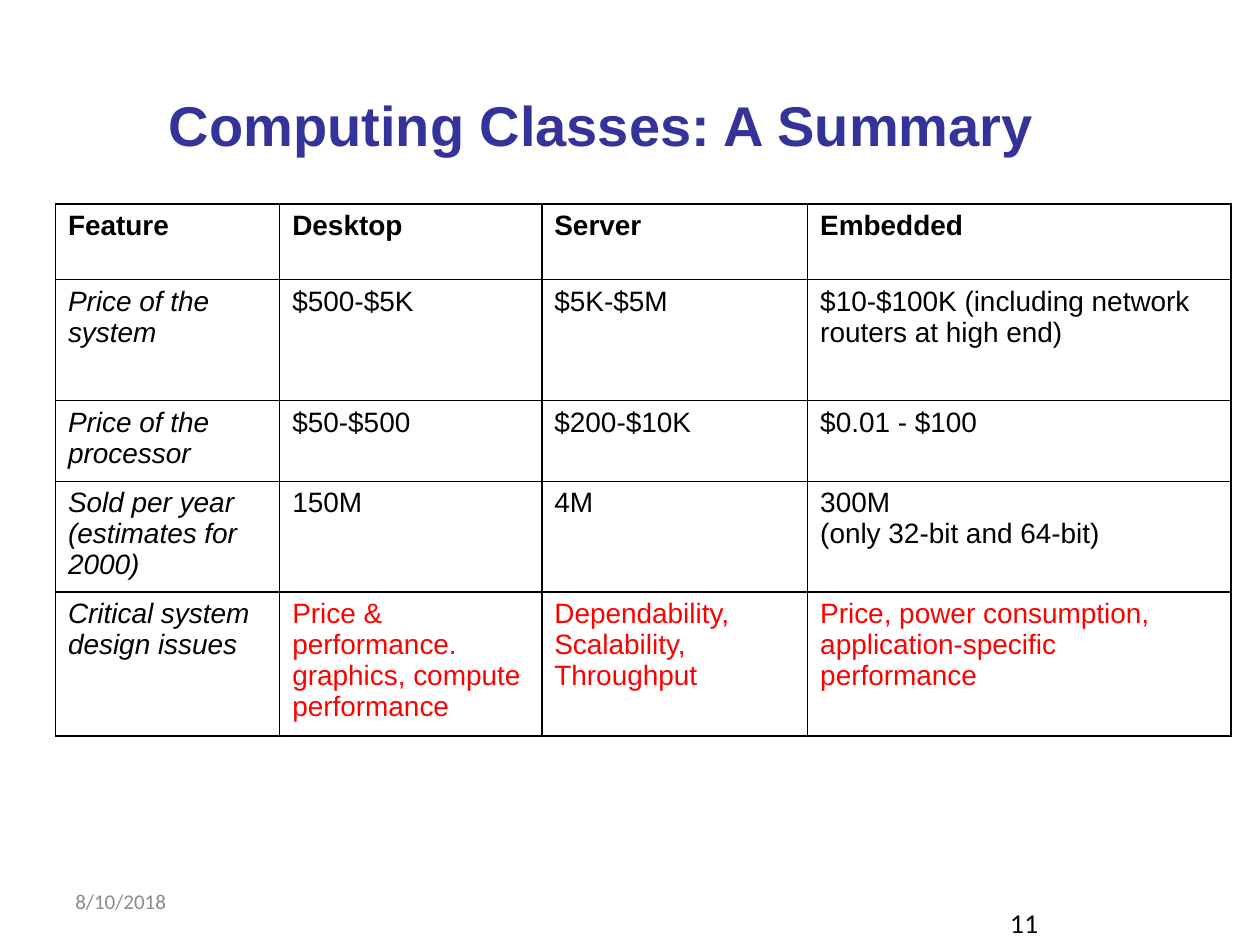
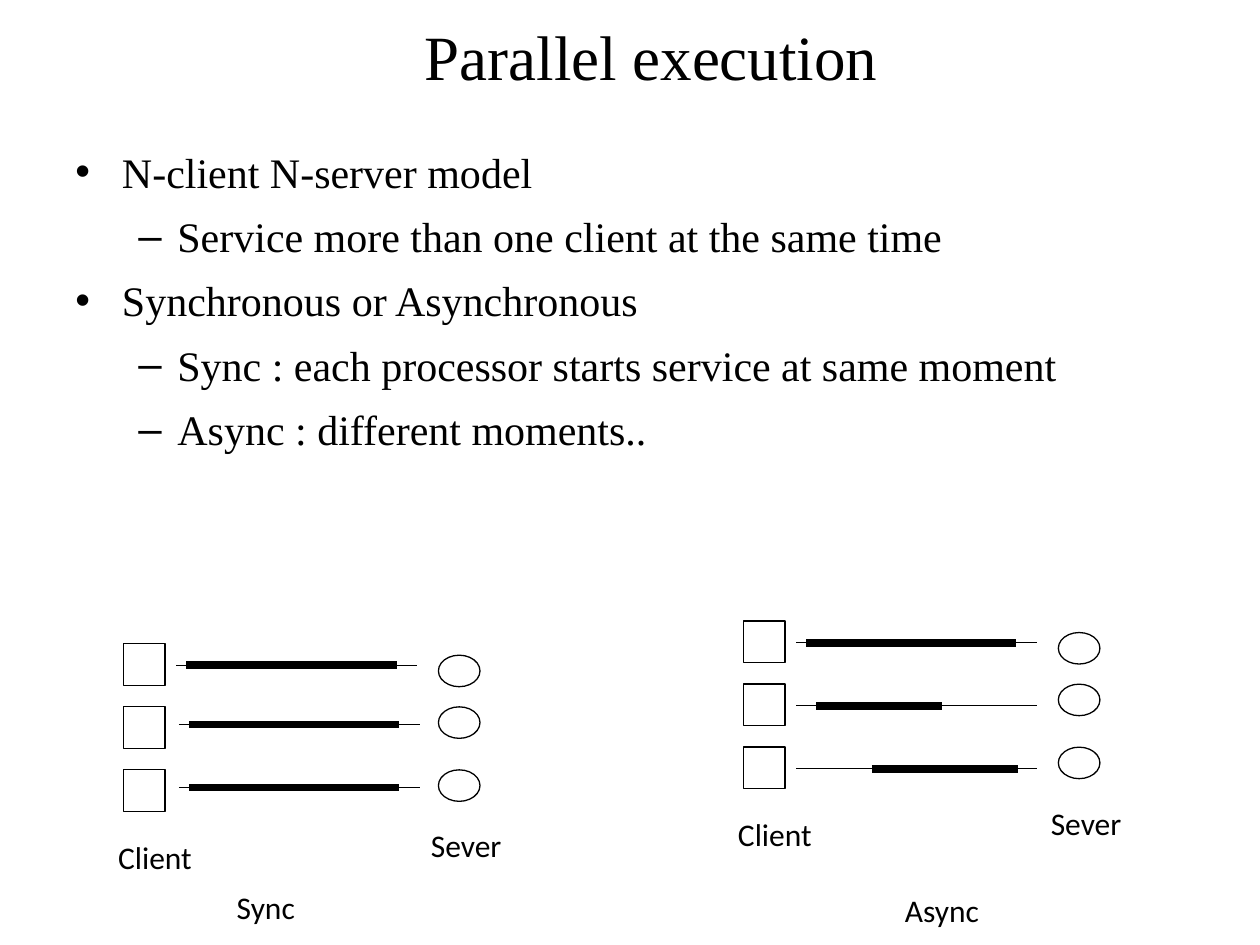
from dataclasses import dataclass
from lxml.etree import SubElement as Sub
from pptx import Presentation as Deck
from pptx.dml.color import RGBColor as Rgb
from pptx.enum.shapes import MSO_CONNECTOR as Link, MSO_SHAPE as Form
from pptx.enum.text import MSO_ANCHOR as Anchor, MSO_AUTO_SIZE as Fit, PP_ALIGN as Align
from pptx.oxml.ns import qn
from pptx.util import Inches, Pt


@dataclass(frozen=True)
class Theme:
    black: Rgb = Rgb(0, 0, 0)
    navy: Rgb = Rgb(0x33, 0x33, 0x99)
    red: Rgb = Rgb(0xFF, 0, 0)
    gray: Rgb = Rgb(0x8B, 0x8B, 0x8B)
    sans: str = "Arial"
    serif: str = "Times New Roman"
    plain: str = "Calibri"
    number: str = "Lato"
    head: int = 32
    large: int = 36
    body: int = 24
    label: int = 18
    cell: int = 16
    page: int = 14
    date: int = 12
    thin: float = 0.75
    grid: float = 1
    thick: float = 4.5


class Board:
    """Holds the style and the current slide."""

    def __init__(self, deck, theme):
        self.deck, self.theme, self.slide = deck, theme, None

    def start(self):
        self.slide = self.deck.slides.add_slide(self.deck.slide_layouts[5])

    def style(self, frame, color, align=Align.LEFT, **form):
        for para in frame.paragraphs:
            para.alignment = align
            for run in para.runs:
                for key, value in form.items():
                    setattr(run.font, key, value)
                run.font.color.rgb = color

    def fill(self, frame, text, anchor, wrap=True, **form):
        for key, value in dict(text=text, word_wrap=wrap, auto_size=Fit.NONE,
                               vertical_anchor=anchor).items():
            setattr(frame, key, value)
        self.style(frame, **form)

    def title(self, text, box, anchor, **form):
        shape = self.slide.shapes.title
        for key, value in zip(("left", "top", "width", "height"), box):
            setattr(shape, key, Inches(value))
        self.fill(shape.text_frame, text, anchor, **form)

    def text(self, text, box, anchor=Anchor.MIDDLE, **form):
        shape = self.slide.shapes.add_textbox(*map(Inches, box))
        self.fill(shape.text_frame, text, anchor, **form)
        return shape.text_frame

    def label(self, text, x, y, width):
        look = self.theme
        self.text(text, (x, y, width, 0.4), wrap=False, align=Align.CENTER,
                  color=look.black, name=look.plain, size=Pt(look.label))

    def list(self, items, box):
        look = self.theme
        frame = self.text("\n".join(text for _, text in items), box, Anchor.TOP,
                          color=look.black, name=look.serif, size=Pt(look.body))
        marks = (("•", 0.37, 0.37), ("–", 0.81, 0.31))
        for i, (para, (level, _)) in enumerate(zip(frame.paragraphs, items)):
            mark, left, hang = marks[level]
            para.level = level
            props = para._p.get_or_add_pPr()
            props.set("marL", str(Inches(left)))
            props.set("indent", str(-Inches(hang)))
            Sub(props, qn("a:buFont"), typeface=look.sans)
            Sub(props, qn("a:buChar"), char=mark)
            para.space_before = Pt(8 if i else 0)

    def shape(self, form, *box):
        shape = self.slide.shapes.add_shape(form, *map(Inches, box))
        shape.shadow.inherit = False
        shape.fill.background()
        shape.line.color.rgb = self.theme.black
        shape.line.width = Pt(self.theme.thin)

    def line(self, start, end, y, width):
        line = self.slide.shapes.add_connector(
            Link.STRAIGHT, *map(Inches, (start, y, end, y)))
        line.line.color.rgb = self.theme.black
        line.line.width = Pt(width)
        Sub(line._element.spPr, qn("a:effectLst"))

    def border(self, cell):
        props = cell._tc.get_or_add_tcPr()
        for i, side in enumerate(("lnL", "lnR", "lnT", "lnB")):
            edge = Sub(props, qn(f"a:{side}"), w=str(Pt(self.theme.grid)))
            solid = Sub(edge, qn("a:solidFill"))
            Sub(solid, qn("a:srgbClr"), val=str(self.theme.black))
            props.insert(i, edge)

    def table(self, rows, box, widths, heights):
        look = self.theme
        table = self.slide.shapes.add_table(
            len(rows), len(widths), *map(Inches, box)).table
        table.first_row = table.horz_banding = False
        for col, width in zip(table.columns, widths):
            col.width = Inches(width)
        for row, height in zip(table.rows, heights):
            row.height = Inches(height)
        for r, row in enumerate(rows):
            for c, text in enumerate(row):
                cell = table.cell(r, c)
                cell.text = text
                cell.fill.background()
                self.border(cell)
                hot = r == len(rows) - 1 and c > 0
                self.style(cell.text_frame, look.red if hot else look.black,
                           name=look.sans, size=Pt(look.cell),
                           bold=r == 0, italic=r > 0 and c == 0)

    def model(self, x, y, wires):
        """Draws clients, servers and the wires between them."""
        look = self.theme
        for i, (drop, wire, bar) in enumerate(wires):
            step = y + 0.5 * i
            self.shape(Form.RECTANGLE, x, step, 0.33, 0.33)
            self.shape(Form.OVAL, x + 2.5, step + (0 if i else 0.09), 0.33, 0.25)
            self.line(x + wire, x + wire + 1.91, step + drop, look.thin)
            self.line(x + bar[0], x + bar[1], step + drop, look.thick)
        self.label("Sever", x + 2.34, y + 1.4, 0.76)
        self.label("Client", x - 0.14, y + 1.49, 0.78)


def classes(board):
    look = board.theme
    board.start()
    board.title("Computing Classes: A Summary", (1.24, 0, 8.52, 1.3), Anchor.BOTTOM,
                color=look.navy, name=look.sans, size=Pt(look.head), bold=True)
    # Comparison table
    rows = (
        ("Feature", "Desktop", "Server", "Embedded"),
        ("Price of the system", "$500-$5K", "$5K-$5M",
         "$10-$100K (including network routers at high end)"),
        ("Price of the processor", "$50-$500", "$200-$10K", "$0.01 - $100"),
        ("Sold per year\n(estimates for 2000)", "150M", "4M",
         "300M\n(only 32-bit and 64-bit)"),
        ("Critical system design issues",
         "Price & performance. graphics, compute performance",
         "Dependability, Scalability, Throughput",
         "Price, power consumption, application-specific performance"),
    )
    board.table(rows, (0.44, 1.62, 9.33, 4.22), (1.78, 2.08, 2.11, 3.36),
                (0.6, 0.96, 0.64, 0.88, 1.14))
    # Footer
    board.text("8/10/2018", (0.5, 6.95, 2.33, 0.4),
               color=look.gray, name=look.plain, size=Pt(look.date))
    board.text("11", (7.92, 7, 2.08, 0.5), Anchor.BOTTOM,
               color=look.black, name=look.number, size=Pt(look.page))


def parallel(board):
    look = board.theme
    board.start()
    board.title("Parallel execution", (0.67, 0, 9, 0.87), Anchor.MIDDLE,
                align=Align.CENTER, color=look.black, name=look.serif,
                size=Pt(look.large))
    board.list((
        (0, "N-client N-server model"),
        (1, "Service more than one client at the same time"),
        (0, "Synchronous or Asynchronous"),
        (1, "Sync : each processor starts service at same moment"),
        (1, "Async : different moments.."),
    ), (0.5, 1.11, 9, 3.5))
    # Each wire: drop below the client top, wire start, busy span
    late = (0.14, 0.44, (0.52, 2.19))
    board.model(0.98, 5.11, ((0.17, 0.42, (0.5, 2.17)), late, late))
    board.label("Sync", 1.78, 7, 0.66)
    spans = ((0.5, 2.16), (0.58, 1.58), (1.02, 2.18))
    board.model(5.9, 4.93, [(0.17, 0.42, span) for span in spans])
    board.label("Async", 7.08, 7.02, 0.79)


def main():
    deck = Deck()
    deck.slide_width, deck.slide_height = Inches(10), Inches(7.5)
    board = Board(deck, Theme())
    classes(board)
    parallel(board)
    deck.save("out.pptx")


if __name__ == "__main__":
    main()
